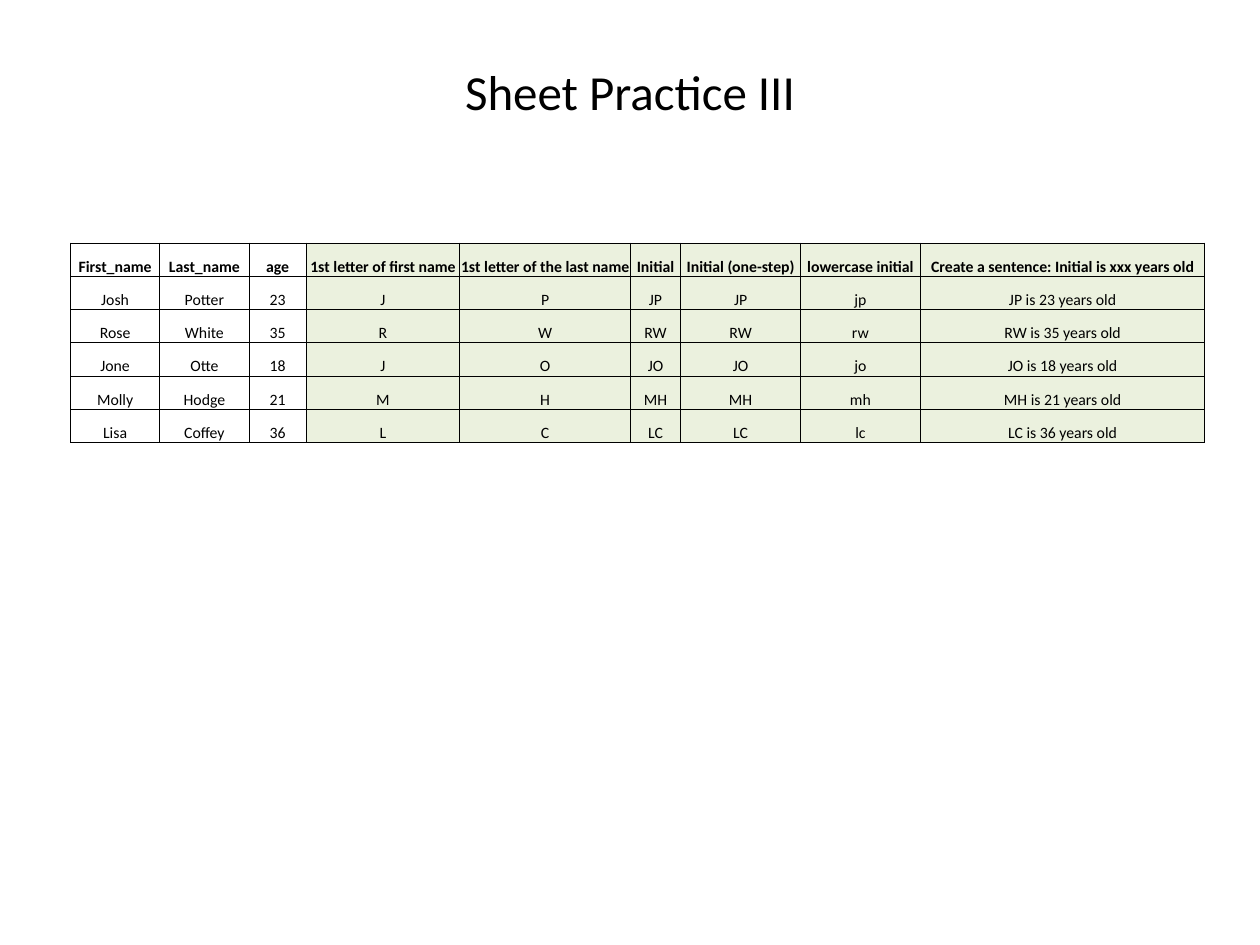
import pptx
import pptx.util
import pptx.dml.color
import pptx.enum.text
import pptx.oxml.ns
import lxml.etree

Cm, Pt = pptx.util.Cm, pptx.util.Pt
RGBColor = pptx.dml.color.RGBColor
CENTER = pptx.enum.text.PP_ALIGN.CENTER
ANCHOR = pptx.enum.text.MSO_ANCHOR

# Content
TITLE = "Sheet Practice III"
HEADERS = ["First_name", "Last_name", "age", "1st letter of first name",
           "1st letter of the last name", "Initial", "Initial (one-step)",
           "lowercase initial", "Create a sentence: Initial is xxx years old"]
PEOPLE = [("Josh", "Potter", 23), ("Rose", "White", 35), ("Jone", "Otte", 18),
          ("Molly", "Hodge", 21), ("Lisa", "Coffey", 36)]

# Style
FONT = "Calibri"
BLACK = RGBColor(0x00, 0x00, 0x00)
PALE_GREEN = RGBColor(0xEB, 0xF1, 0xDE)
COLUMN_WIDTHS = [1.8, 1.8, 1.15, 3.1, 3.44, 1.01, 2.42, 2.41, 5.74]
ROW_HEIGHT = 0.67
GIVEN_COLUMNS = 3  # the columns after these hold the answers


def answer_row(first, last, age):
    initial = first[0] + last[0]
    return [first, last, str(age), first[0], last[0], initial, initial,
            initial.lower(), f"{initial} is {age} years old"]


def write(frame, text, size, bold=False):
    frame.text = text
    para = frame.paragraphs[0]
    para.alignment = CENTER
    font = para.runs[0].font
    font.name, font.size, font.bold = FONT, Pt(size), bold
    font.color.rgb = BLACK


def add_borders(cell):
    properties = cell._tc.get_or_add_tcPr()
    qn = pptx.oxml.ns.qn
    for side in ("a:lnL", "a:lnR", "a:lnT", "a:lnB"):
        line = lxml.etree.SubElement(properties, qn(side), w=str(Pt(0.5)))
        fill = lxml.etree.SubElement(line, qn("a:solidFill"))
        lxml.etree.SubElement(fill, qn("a:srgbClr"), val=str(BLACK))


def main():
    deck = pptx.Presentation()
    deck.slide_width, deck.slide_height = Cm(25.4), Cm(19.05)
    page = deck.slides.add_slide(deck.slide_layouts[5])

    # Title
    title = page.shapes.title
    title.left, title.top = Cm(1.27), Cm(0.76)
    title.width, title.height = Cm(22.86), Cm(2.16)
    title.text_frame.vertical_anchor = ANCHOR.MIDDLE
    write(title.text_frame, TITLE, 28)

    # Table of names, with the answer columns tinted
    rows = [HEADERS] + [answer_row(*person) for person in PEOPLE]
    table = page.shapes.add_table(
        len(rows), len(HEADERS), Cm(1.42), Cm(4.9),
        Cm(sum(COLUMN_WIDTHS)), Cm(ROW_HEIGHT * len(rows))).table
    table.first_row = table.horz_banding = False
    for column, width in zip(table.columns, COLUMN_WIDTHS):
        column.width = Cm(width)
    for r, row in enumerate(rows):
        table.rows[r].height = Cm(ROW_HEIGHT)
        for c, text in enumerate(row):
            cell = table.cell(r, c)
            cell.margin_left = cell.margin_right = cell.margin_top = Cm(0.02)
            cell.margin_bottom = 0
            cell.vertical_anchor = ANCHOR.BOTTOM
            write(cell.text_frame, text, 9, bold=r == 0)
            add_borders(cell)
            if c < GIVEN_COLUMNS:
                cell.fill.background()
            else:
                cell.fill.solid()
                cell.fill.fore_color.rgb = PALE_GREEN

    deck.save("out.pptx")


if __name__ == "__main__":
    main()
